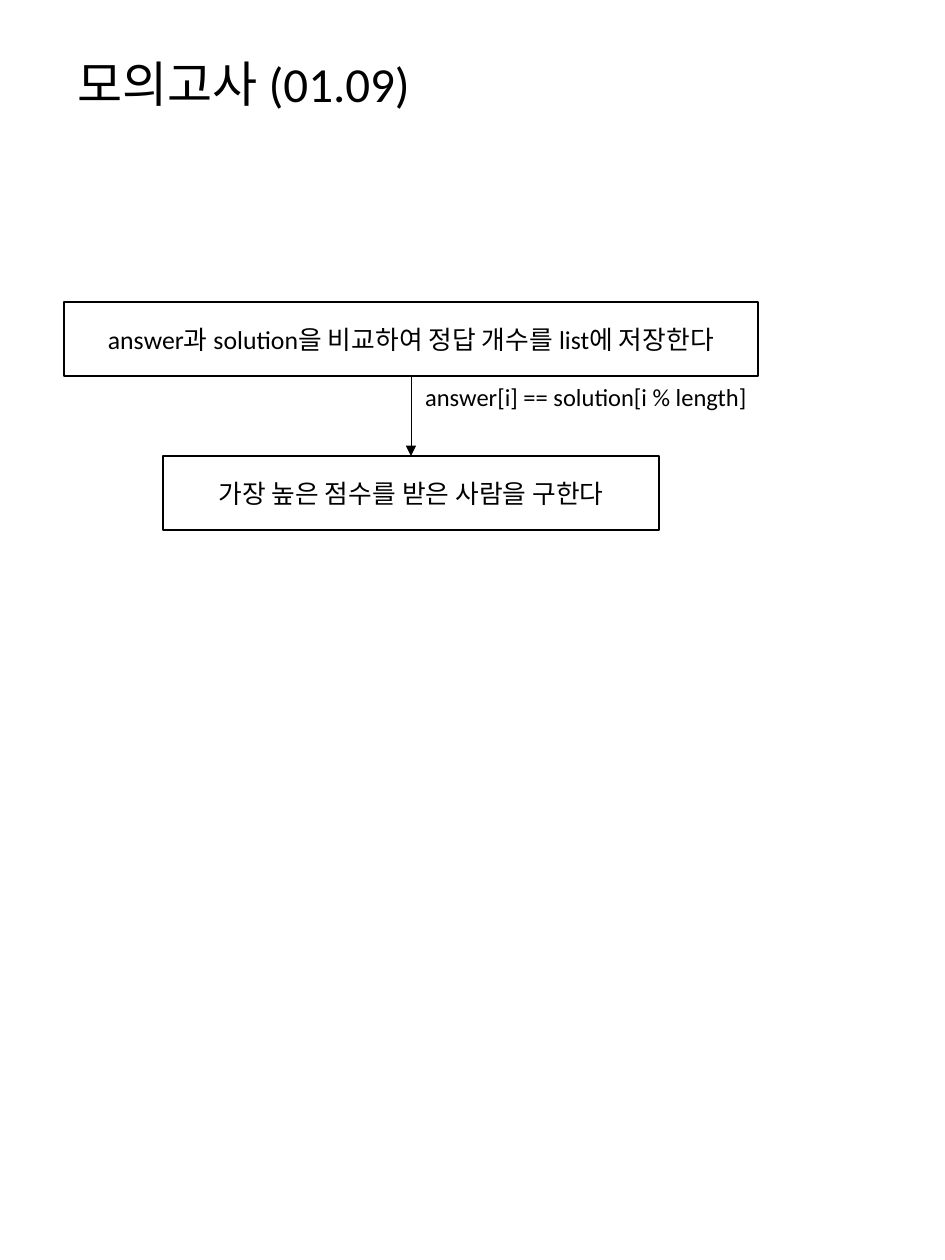
from dataclasses import dataclass

from lxml import etree
from pptx import Presentation
from pptx import util as u
from pptx.dml.color import RGBColor
from pptx.enum import shapes, text
from pptx.oxml.ns import qn

TITLE = "모의고사 (01.09)"
STEPS = [
    ("answer과 solution을 비교하여 정답 개수를 list에 저장한다", 694),
    ("가장 높은 점수를 받은 사람을 구한다", 496),
]
CONDITION = "answer[i] == solution[i % length]"

PAGE_SIZE = (945, 1260)
TITLE_FRAME = (65, 48, 815, 77)
CENTER, FIRST_TOP, STEP_HEIGHT, STEP_GAP = 411, 302, 74, 80
CONDITION_SIZE = (350, 43)


@dataclass(frozen=True)
class Theme:
    font: str = "Calibri"
    ink: RGBColor = RGBColor(0, 0, 0)
    title: float = 28
    step: float = 14.7
    condition: float = 14
    outline: float = 1
    arrow: float = 0.5


THEME = Theme()


def px(value):
    return round(value * 914400 / 126)


def write(box, words, size, align, anchor):
    frame = box.text_frame
    frame.text = words
    frame.vertical_anchor = anchor
    para = frame.paragraphs[0]
    para.alignment = align
    for span in para.runs:
        span.font.name = THEME.font
        span.font.size = u.Pt(size)
        span.font.color.rgb = THEME.ink
    return frame


def add_step(page, words, width, top):
    frame = (CENTER - width / 2, top, width, STEP_HEIGHT)
    box = page.shapes.add_shape(shapes.MSO_SHAPE.RECTANGLE, *map(px, frame))
    box.shadow.inherit = False
    box.fill.background()
    box.line.color.rgb = THEME.ink
    box.line.width = u.Pt(THEME.outline)
    write(box, words, THEME.step, text.PP_ALIGN.CENTER, text.MSO_ANCHOR.MIDDLE)
    return box


def add_arrow(page, start, end):
    arrow = page.shapes.add_connector(shapes.MSO_CONNECTOR.STRAIGHT, 0, 0, 0, 0)
    arrow.begin_connect(start, 2)
    arrow.end_connect(end, 0)
    arrow.line.color.rgb = THEME.ink
    arrow.line.width = u.Pt(THEME.arrow)
    etree.SubElement(arrow.line._get_or_add_ln(), qn("a:tailEnd"), type="triangle")
    etree.SubElement(arrow._element.spPr, qn("a:effectLst"))


def main():
    deck = Presentation()
    deck.slide_width, deck.slide_height = map(px, PAGE_SIZE)
    page = deck.slides.add_slide(deck.slide_layouts[5])

    title = page.shapes.title
    title.left, title.top, title.width, title.height = map(px, TITLE_FRAME)
    frame = write(title, TITLE, THEME.title, text.PP_ALIGN.LEFT, text.MSO_ANCHOR.MIDDLE)
    frame.auto_size = text.MSO_AUTO_SIZE.NONE
    frame.paragraphs[0].line_spacing = 0.9

    boxes = [
        add_step(page, words, width, FIRST_TOP + i * (STEP_HEIGHT + STEP_GAP))
        for i, (words, width) in enumerate(STEPS)
    ]
    for start, end in zip(boxes, boxes[1:]):
        add_arrow(page, start, end)

    corner = (CENTER, FIRST_TOP + STEP_HEIGHT)
    label = page.shapes.add_textbox(*map(px, corner + CONDITION_SIZE))
    frame = write(label, CONDITION, THEME.condition, text.PP_ALIGN.CENTER, text.MSO_ANCHOR.TOP)
    frame.word_wrap = False
    frame.auto_size = text.MSO_AUTO_SIZE.SHAPE_TO_FIT_TEXT

    deck.save("out.pptx")


if __name__ == "__main__":
    main()
